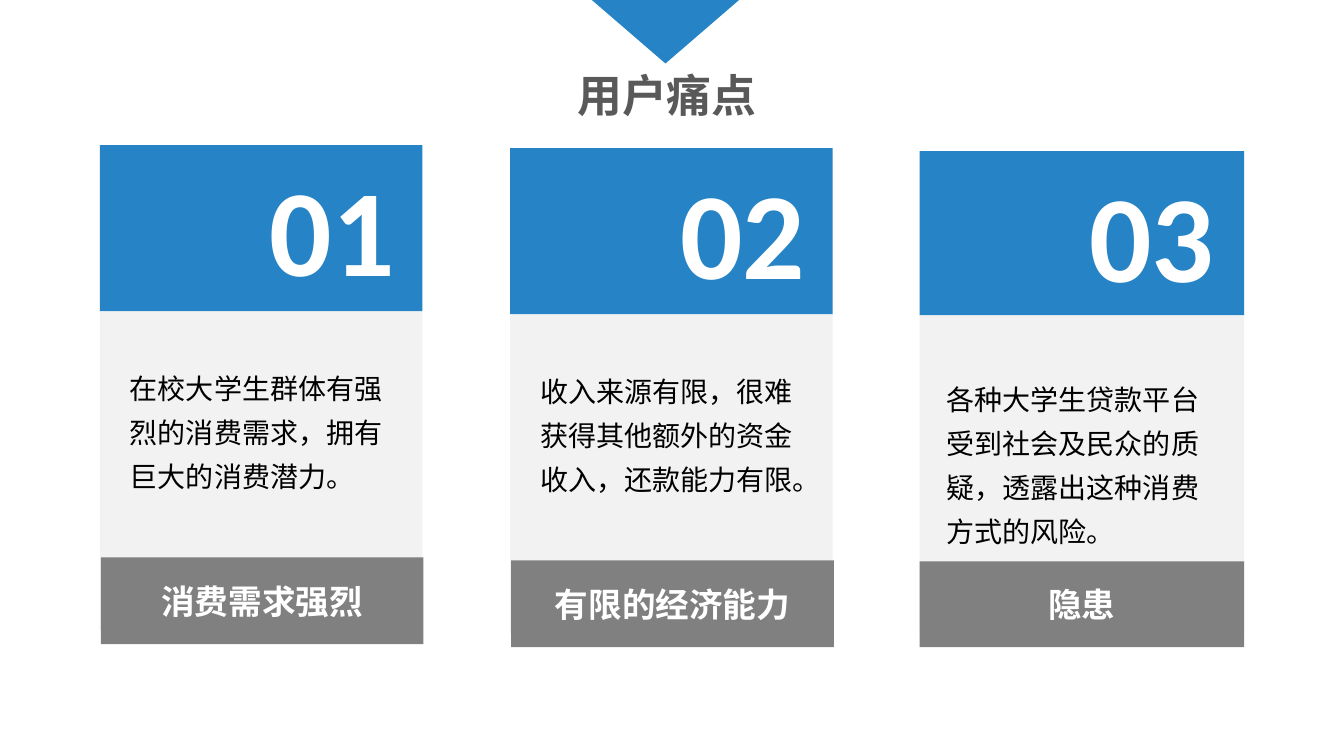
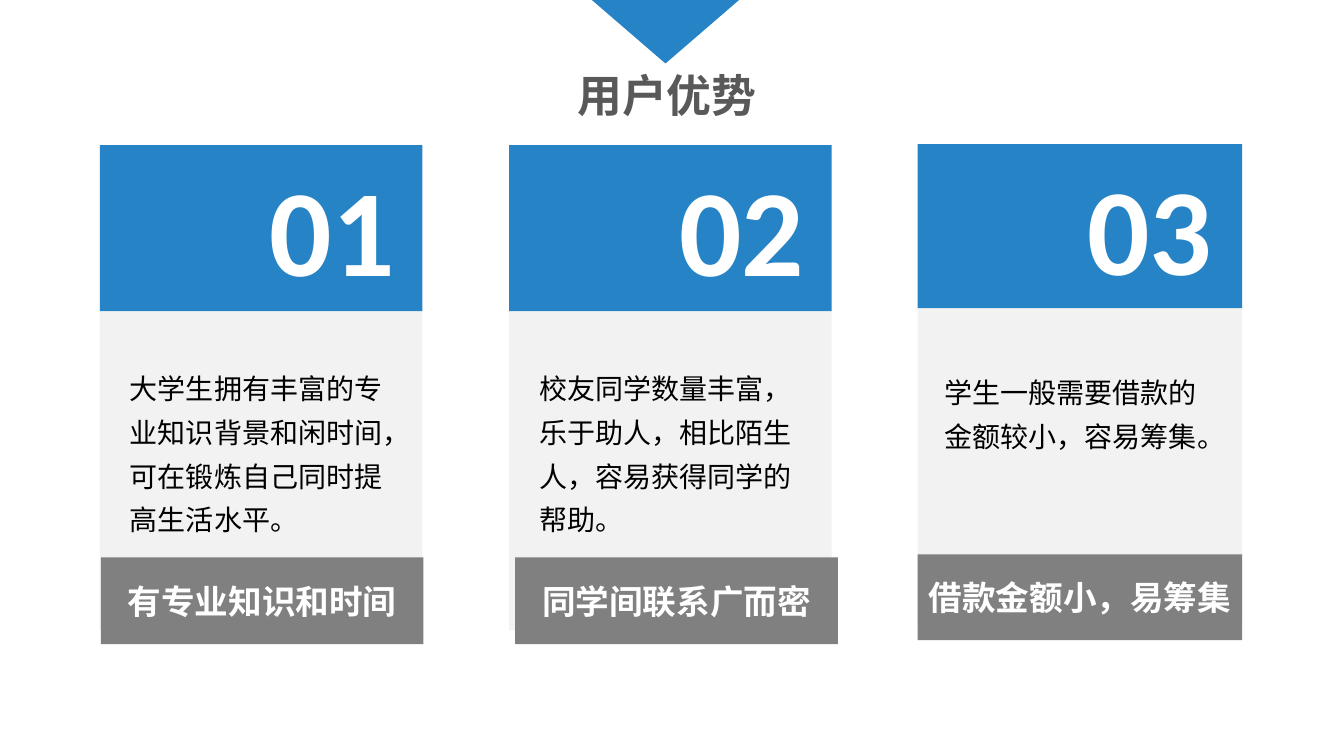
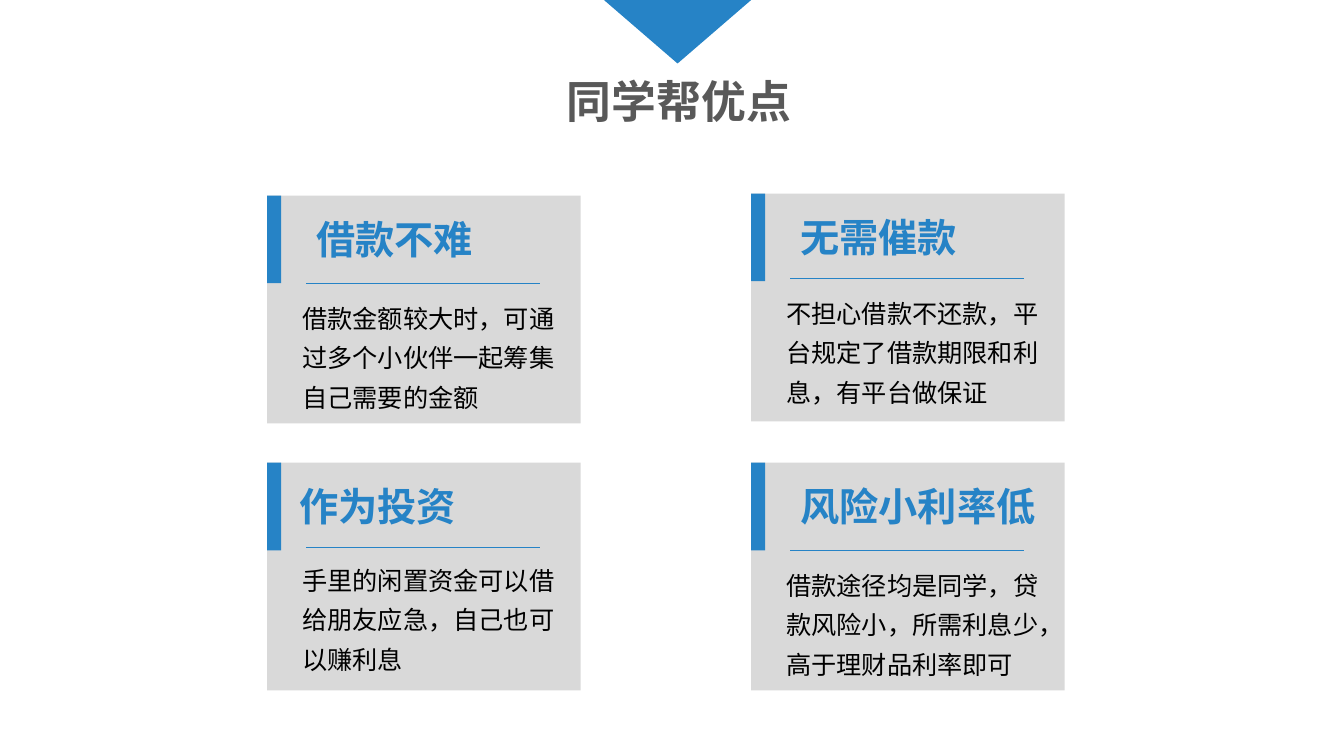
"""Build three slides on student users and the advantages of peer lending."""
from dataclasses import dataclass

from lxml import etree
from pptx import Presentation
from pptx import util as u
from pptx.dml.color import RGBColor
from pptx.enum import shapes, text
from pptx.oxml.ns import qn

COLOURS = {
    "blue": "2683C6",
    "title": "595959",
    "footer": "808080",
    "panel": "F2F2F2",
    "tile": "D9D9D9",
    "white": "FFFFFF",
    "black": "000000",
}
FONT = "Calibri"
CENTER = text.PP_ALIGN.CENTER
RECTANGLE = shapes.MSO_SHAPE.RECTANGLE
TRIANGLE = shapes.MSO_SHAPE.ISOSCELES_TRIANGLE


@dataclass(frozen=True)
class CardSize:
    width: float
    header: float
    panel: float
    footer_top: float
    footer: float
    body_left: float
    body_top: float
    body_width: float


@dataclass(frozen=True)
class Card:
    left: float
    top: float
    body: str
    label: str
    size: CardSize
    footer_shift: float = 0.01


@dataclass(frozen=True)
class Tile:
    left: float
    top: float
    heading: str
    body: str
    heading_left: float = 0.39
    rule_top: float = 0.87
    body_top: float = 0.93


@dataclass(frozen=True)
class TextStyle:
    size: float
    colour: str
    bold: bool = False
    align: text.PP_ALIGN = text.PP_ALIGN.LEFT
    spacing: float = 1.0


TITLE = TextStyle(32, "title", True, CENTER, 0.9)
NUMBER = TextStyle(88, "white", True, CENTER, 1.3)
LABEL = TextStyle(24, "white", True, CENTER)
CARD_BODY = TextStyle(20, "black", spacing=1.3)
TILE_HEADING = TextStyle(28, "blue", True)
TILE_BODY = TextStyle(18, "black", spacing=1.3)

STANDARD = CardSize(3.2, 1.65, 3.16, 4.09, 0.86, 0.2, 2.1, 2.83)
LAST = CardSize(3.22, 1.63, 3.12, 4.07, 0.85, 0.17, 2.15, 2.88)

CARD_SLIDES = {
    "用户痛点": [
        Card(0.99, 1.44, "在校大学生群体有强烈的消费需求，拥有巨大的消费潜力。",
             "消费需求强烈", STANDARD),
        Card(5.06, 1.47, "收入来源有限，很难获得其他额外的资金收入，还款能力有限。",
             "有限的经济能力", STANDARD),
        Card(9.12, 1.5, "各种大学生贷款平台受到社会及民众的质疑，透露出这种消费方式的风险。",
             "隐患", LAST, 0),
    ],
    "用户优势": [
        Card(0.99, 1.44, "大学生拥有丰富的专业知识背景和闲时间，可在锻炼自己同时提高生活水平。",
             "有专业知识和时间", STANDARD),
        Card(5.05, 1.44, "校友同学数量丰富，乐于助人，相比陌生人，容易获得同学的帮助。",
             "同学间联系广而密", STANDARD, 0.06),
        Card(9.1, 1.43, "学生一般需要借款的金额较小，容易筹集。",
             "借款金额小，易筹集", LAST, 0),
    ],
}

TILES = [
    Tile(2.65, 1.94, "借款不难", "借款金额较大时，可通过多个小伙伴一起筹集自己需要的金额"),
    Tile(7.45, 1.92, "无需催款", "不担心借款不还款，平台规定了借款期限和利息，有平台做保证",
         rule_top=0.84, body_top=0.9),
    Tile(2.65, 4.59, "作为投资", "手里的闲置资金可以借给朋友应急，自己也可以赚利息",
         heading_left=0.22, rule_top=0.84, body_top=0.88),
    Tile(7.45, 4.59, "风险小利率低", "借款途径均是同学，贷款风险小，所需利息少，高于理财品利率即可"),
]


def colour(name: str) -> RGBColor:
    """Return the named colour."""
    return RGBColor.from_string(COLOURS[name])


def write(frame, content: str, style: TextStyle) -> None:
    """Write one styled run into the first paragraph of a frame."""
    paragraph = frame.paragraphs[0]
    paragraph.alignment = style.align
    paragraph.line_spacing = style.spacing
    run = paragraph.add_run()
    run.text = content
    run.font.size = u.Pt(style.size)
    run.font.bold = style.bold
    run.font.color.rgb = colour(style.colour)
    run.font.name = FONT
    properties = run._r.get_or_add_rPr()
    etree.SubElement(properties, qn("a:ea"), typeface=FONT)


def add_block(slide, left: float, top: float, width: float, height: float,
              fill: str, kind=RECTANGLE):
    """Add a filled shape without outline or shadow."""
    shape = slide.shapes.add_shape(
        kind, u.Inches(left), u.Inches(top), u.Inches(width), u.Inches(height))
    shape.shadow.inherit = False
    shape.fill.solid()
    shape.fill.fore_color.rgb = colour(fill)
    shape.line.fill.background()
    return shape


def add_text(slide, left: float, top: float, width: float, height: float,
             content: str, style: TextStyle, wrap: bool = True) -> None:
    """Add a text box."""
    box = slide.shapes.add_textbox(
        u.Inches(left), u.Inches(top), u.Inches(width), u.Inches(height))
    box.text_frame.word_wrap = wrap
    write(box.text_frame, content, style)


def add_rule(slide, left: float, top: float, width: float) -> None:
    """Add a thin horizontal line."""
    rule = slide.shapes.add_connector(
        shapes.MSO_CONNECTOR.STRAIGHT, u.Inches(left), u.Inches(top),
        u.Inches(left + width), u.Inches(top))
    rule.line.color.rgb = colour("blue")
    rule.line.width = u.Pt(0.5)
    etree.SubElement(rule._element.spPr, qn("a:effectLst"))


def add_titled_slide(presentation, title: str, center: float = 6.6,
                     title_top: float = 0.68):
    """Add a blank slide with the top triangle and its title."""
    slide = presentation.slides.add_slide(presentation.slide_layouts[6])
    triangle = add_block(slide, center - 0.73, 0, 1.46, 0.63, "blue", TRIANGLE)
    triangle.rotation = 180
    add_text(slide, center - 1.63, title_top, 3.29, 0.46, title, TITLE)
    return slide


def add_card(slide, number: int, card: Card) -> None:
    """Add a numbered card with body text and footer label."""
    size = card.size
    left, top = card.left, card.top
    add_block(slide, left, top, size.width, size.header, "blue")
    add_text(slide, left + 1.41, top - 0.41, 1.79, 2.47, f"{number:02d}", NUMBER, False)
    add_block(slide, left, top + size.header, size.width, size.panel, "panel")
    add_text(slide, left + size.body_left, top + size.body_top, size.body_width, 1.85,
             card.body, CARD_BODY)
    footer = add_block(slide, left + card.footer_shift, top + size.footer_top,
                       size.width, size.footer, "footer")
    footer.text_frame.word_wrap = True
    footer.text_frame.vertical_anchor = text.MSO_ANCHOR.MIDDLE
    write(footer.text_frame, card.label, LABEL)


def add_tile(slide, tile: Tile) -> None:
    """Add a grey tile with accent bar, heading, rule and body text."""
    left, top = tile.left, tile.top
    add_block(slide, left, top, 3.11, 2.26, "tile")
    add_block(slide, left, top, 0.14, 0.87, "blue")
    add_text(slide, left + tile.heading_left, top + 0.15, 2.82, 0.57,
             tile.heading, TILE_HEADING)
    add_rule(slide, left + 0.39, top + tile.rule_top, 2.32)
    add_text(slide, left + 0.25, top + tile.body_top, 2.77, 1.28, tile.body, TILE_BODY)


def main() -> None:
    """Build and save the presentation."""
    presentation = Presentation()
    presentation.slide_width = u.Inches(13.33)
    presentation.slide_height = u.Inches(7.5)
    for title, cards in CARD_SLIDES.items():
        slide = add_titled_slide(presentation, title)
        for number, card in enumerate(cards, start=1):
            add_card(slide, number, card)
    slide = add_titled_slide(presentation, "同学帮优点", 6.72, 0.74)
    for tile in TILES:
        add_tile(slide, tile)
    presentation.save("out.pptx")


if __name__ == "__main__":
    main()
